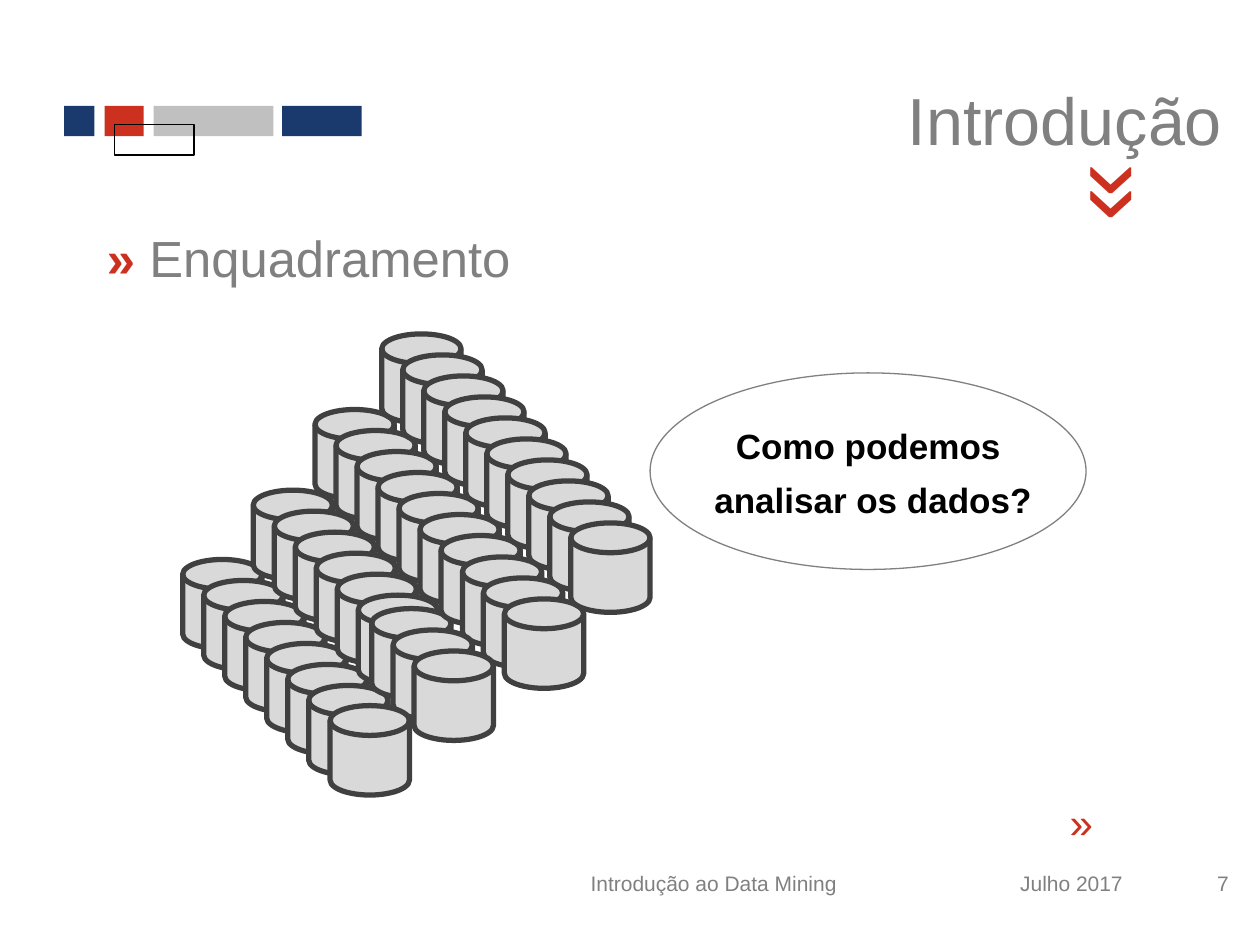
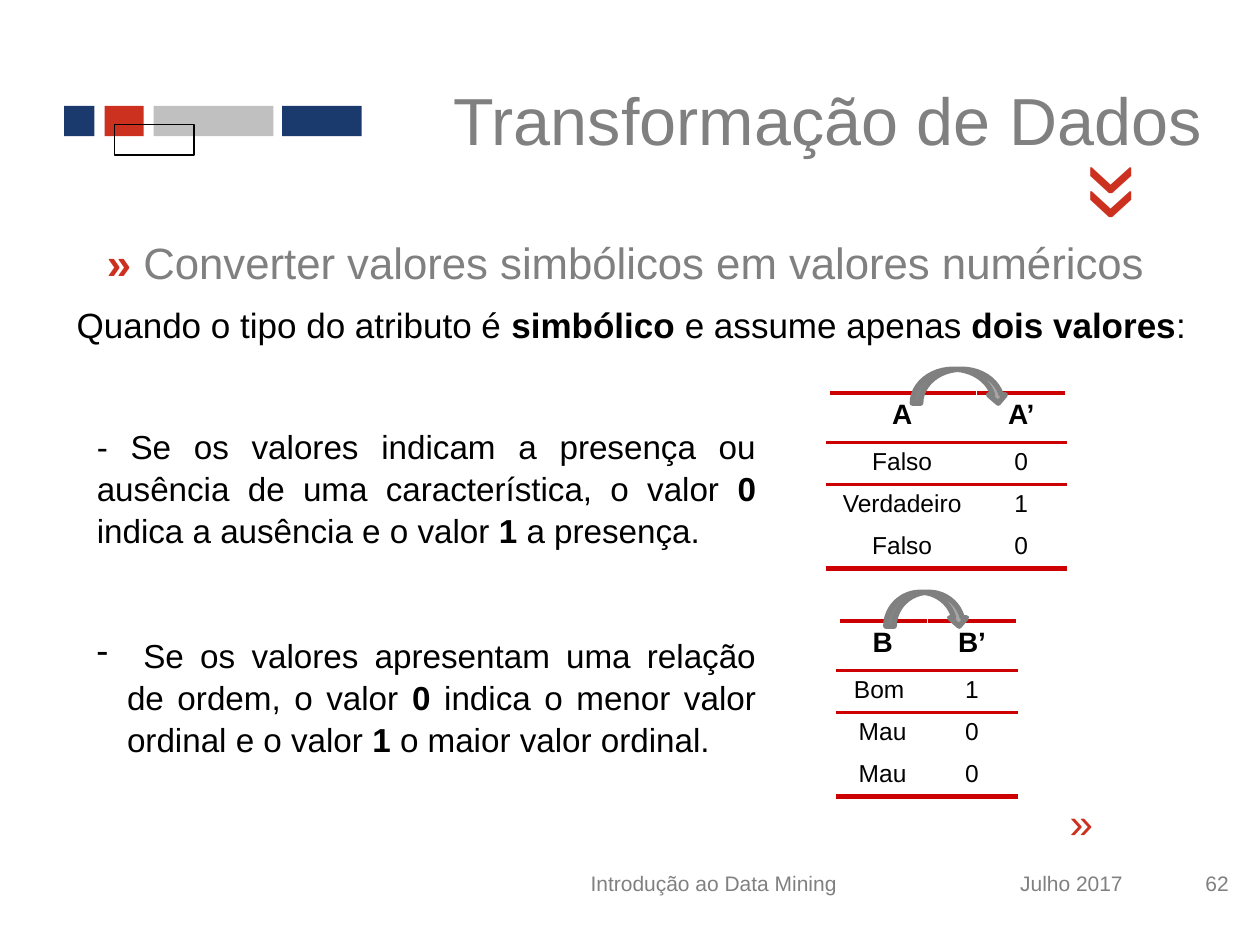
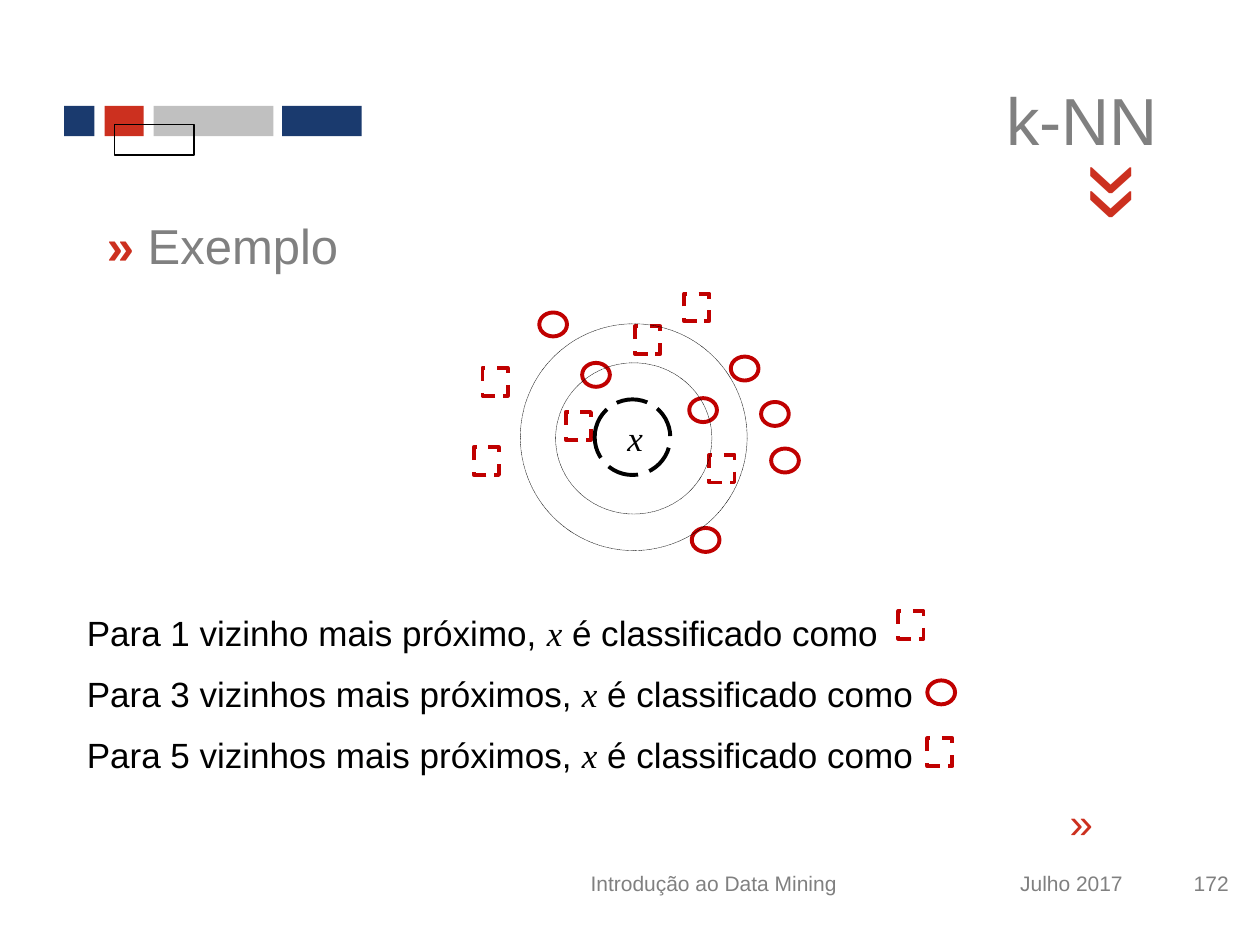
import lxml.etree
import pptx
import pptx.dml.color
import pptx.enum.dml
import pptx.enum.shapes
import pptx.enum.text
import pptx.oxml.ns
import pptx.util

Inches = pptx.util.Inches
Pt = pptx.util.Pt
SHAPE = pptx.enum.shapes.MSO_SHAPE
DASH = pptx.enum.dml.MSO_LINE
ALIGN = pptx.enum.text.PP_ALIGN
ANCHOR = pptx.enum.text.MSO_ANCHOR

COLORS = {
    "navy": "1A3A6E", "red": "CC301F", "silver": "C0C0C0", "gray": "808080",
    "black": "000000", "white": "FFFFFF", "disk": "D9D9D9", "outline": "404040",
    "arrow": "A6A6A6", "rule": "CC0000", "symbol": "C00000",
}
BOLD = {"bold": True}
MATH = {"name": "Times New Roman", "italic": True}
BAND = [(0.51, 0.24, "navy"), (0.83, 0.31, "red"), (1.22, 0.95, "silver"), (2.24, 0.63, "navy")]
DISK_RUNS = [
    (1.45, 4.44, 7), (2.01, 3.89, 6), (2.95, 4.83, 1), (2.5, 3.25, 7), (3.03, 2.65, 9),
    (3.67, 4.42, 3), (3.12, 5, 2), (2.62, 5.6, 1), (4.53, 4.15, 1),
]
DISK_STEP = 1 / 6
SQUARES = [
    (7.13, 4.85), (7.36, 5.86), (3.83, 2.92), (5.04, 2.59), (3.76, 3.55),
    (5.63, 3.61), (4.49, 3.27), (5.43, 2.33),
]
CIRCLES = [
    (7.36, 5.4), (5.47, 3.16), (6.04, 3.19), (4.28, 2.48), (6.12, 3.56),
    (5.8, 2.83), (5.49, 4.19), (4.62, 2.88),
]


def rgb(color):
    """Return the named colour as an RGB value."""
    return pptx.dml.color.RGBColor.from_string(COLORS[color])


def set_values(target, values):
    """Set each attribute named in a dict on the target."""
    for name, value in values.items():
        setattr(target, name, value)


def add_runs(paragraph, runs, size, color):
    """Add (text, format) runs to a paragraph over a base format."""
    for text, values in runs:
        values = {"name": "Arial", "size": Pt(size), "bold": False, "color": color, **values}
        run = paragraph.add_run()
        run.text = text
        run.font.color.rgb = rgb(values.pop("color"))
        set_values(run.font, values)


def add_text(slide, box, paragraphs, size, color="black", align=ALIGN.LEFT,
             anchor=ANCHOR.TOP, gap=0, spacing=1.0):
    """Add a wrapped text box holding paragraphs of runs."""
    shape = slide.shapes.add_textbox(*map(Inches, box))
    frame = shape.text_frame
    set_values(frame, {"word_wrap": True, "vertical_anchor": anchor})
    for index, runs in enumerate(paragraphs):
        paragraph = frame.add_paragraph() if index else frame.paragraphs[0]
        values = {"alignment": align, "line_spacing": spacing}
        if index:
            values["space_before"] = Pt(gap)
        set_values(paragraph, values)
        add_runs(paragraph, runs, size, color)
    return shape


def add_shape(slide, kind, box, fill=None, line=None, width=0.75, dash=None, rotation=0):
    """Add a preset shape with optional fill and outline."""
    shape = slide.shapes.add_shape(kind, *map(Inches, box))
    shape.shadow.inherit = False
    shape.rotation = rotation
    if fill:
        shape.fill.solid()
        shape.fill.fore_color.rgb = rgb(fill)
    else:
        shape.fill.background()
    if line:
        shape.line.color.rgb = rgb(line)
        set_values(shape.line, {"width": Pt(width), "dash_style": dash})
    else:
        shape.line.fill.background()
    return shape


def add_dash_bullet(paragraph, indent):
    """Give a paragraph a hanging dash bullet."""
    properties = paragraph._p.get_or_add_pPr()
    properties.set("marL", str(Inches(indent)))
    properties.set("indent", str(-Inches(indent)))
    bullet = lxml.etree.SubElement(properties, pptx.oxml.ns.qn("a:buChar"))
    bullet.set("char", "-")


def add_border(cell, side, color, width):
    """Draw one border of a table cell."""
    qualified = pptx.oxml.ns.qn
    properties = cell._tc.get_or_add_tcPr()
    line = lxml.etree.SubElement(properties, qualified("a:ln" + side), w=str(Pt(width)))
    fill = lxml.etree.SubElement(line, qualified("a:solidFill"))
    lxml.etree.SubElement(fill, qualified("a:srgbClr"), val=COLORS[color])


def add_value_table(slide, left, top, widths, rows):
    """Add a table with red rules around its heading and at its foot."""
    heights = [0.39] + [0.33] * (len(rows) - 1)
    box = left, top, sum(widths), sum(heights)
    table = slide.shapes.add_table(len(rows), len(widths), *map(Inches, box)).table
    set_values(table, {"first_row": False, "horz_banding": False})
    for column, width in zip(table.columns, widths):
        column.width = Inches(width)
    for row_index, (row, height) in enumerate(zip(rows, heights)):
        table.rows[row_index].height = Inches(height)
        heading, last = row_index == 0, row_index == len(rows) - 1
        for column_index, text in enumerate(row):
            cell = table.cell(row_index, column_index)
            if column_index == 0:
                add_border(cell, "L", "white", 2.25)
            if row_index < 2:
                add_border(cell, "T", "rule", 2.25)
            if heading or last:
                add_border(cell, "B", "rule", 3 if last else 2.25)
            cell.fill.background()
            paragraph = cell.text_frame.paragraphs[0]
            paragraph.alignment = ALIGN.CENTER
            add_runs(paragraph, [(text, {"bold": heading})], 16 if heading else 14, "black")


def add_base_slide(presentation, title, title_right, subtitle, subtitle_top, subtitle_size, number):
    """Add a slide with band, title, subtitle, chevrons and footer."""
    slide = presentation.slides.add_slide(presentation.slide_layouts[6])
    for left, width, color in BAND:
        add_shape(slide, SHAPE.RECTANGLE, (left, 0.84, width, 0.24), color)
    add_shape(slide, SHAPE.RECTANGLE, (0.91, 0.99, 0.63, 0.24), line="black")
    add_text(slide, (8.39, 6.27, 0.51, 0.5), [[("»", {})]], 24, "red")
    chevron = add_text(slide, (8.6, 0.98, 0.66, 1.1), [[("»", {})]], 60, "red")
    chevron.rotation = 90
    add_text(slide, (0.75, subtitle_top, 8.65, 0.57),
             [[("» ", {"color": "red", "bold": True}), (subtitle, {})]], subtitle_size, "gray")
    add_text(slide, (3.03, 0.48, title_right - 3.03, 0.93), [[(title, {})]], 38, "gray",
             ALIGN.RIGHT, ANCHOR.MIDDLE)
    footers = [
        (7.2, 1.81, "Julho 2017", ALIGN.RIGHT),
        (9.06, 0.79, number, ALIGN.RIGHT),
        (4.13, 3.07, "Introdução ao Data Mining", ALIGN.CENTER),
    ]
    for left, width, text, align in footers:
        add_text(slide, (left, 6.73, width, 0.55), [[(text, {})]], 12, "gray", align, ANCHOR.MIDDLE)
    return slide


def build_introduction(presentation):
    """Build the slide with rows of data disks and a question."""
    slide = add_base_slide(presentation, "Introdução", 9.8, "Enquadramento", 1.75, 29, "7")
    for left, top, count in DISK_RUNS:
        for index in range(count):
            offset = index * DISK_STEP
            add_shape(slide, SHAPE.FLOWCHART_MAGNETIC_DISK,
                      (left + offset, top + offset, 0.63, 0.71), "disk", "outline", 3)
    add_shape(slide, SHAPE.OVAL, (5.16, 2.96, 3.46, 1.56), line="gray")
    question = [[("Como podemos ", BOLD)], [("analisar os dados?", BOLD)]]
    add_text(slide, (3.9, 3.32, 6.06, 0.86), question, 20, align=ALIGN.CENTER, gap=7)


def build_transformation(presentation):
    """Build the slide on turning symbolic values into numbers."""
    slide = add_base_slide(presentation, "Transformação de Dados", 9.64,
                           "Converter valores simbólicos em valores numéricos", 1.82, 25, "62")
    add_text(slide, (0.51, 2.36, 9.27, 0.44), [[
        ("Quando o tipo do atributo é ", {}), ("simbólico ", BOLD), ("e assume apenas ", {}),
        ("dois valores", BOLD), (":", {})]], 20, align=ALIGN.JUSTIFY)
    presence = [
        ("- Se os valores indicam a presença ou ausência de uma característica, o valor ", {}),
        ("0", BOLD), (" indica a ausência e o valor ", {}), ("1", BOLD), (" a presença.", {})]
    order = [
        (" Se os valores apresentam uma relação de ordem, o valor ", {}), ("0", BOLD),
        (" indica o menor valor ordinal e o valor ", {}), ("1 ", BOLD),
        ("o maior valor ordinal.", {})]
    for top, runs, bulleted in [(3.32, presence, False), (4.98, order, True)]:
        shape = add_text(slide, (0.67, top, 5.43, 1.06), [runs], 19,
                         align=ALIGN.JUSTIFY, spacing=1.05)
        if bulleted:
            add_dash_bullet(shape.text_frame.paragraphs[0], 0.24)
    add_value_table(slide, 6.57, 3.12, [1.18, 0.71],
                    [("A", "A’"), ("Falso", "0"), ("Verdadeiro", "1"), ("Falso", "0")])
    add_value_table(slide, 6.65, 4.93, [0.71, 0.71],
                    [("B", "B’"), ("Bom ", "1"), ("Mau", "0"), ("Mau", "0")])
    for box in [(7.48, 2.69, 0.27, 0.75), (7.22, 4.51, 0.27, 0.65)]:
        add_shape(slide, SHAPE.CURVED_LEFT_ARROW, box, "arrow", "gray", 3, rotation=270)


def build_neighbours(presentation):
    """Build the slide with the nearest neighbour example."""
    slide = add_base_slide(presentation, "k-NN", 9.29, "Exemplo", 1.66, 28, "172")
    conclusions = [
        [(f"Para {neighbours} mais {near}, ", {}), ("x", MATH), (" é classificado como", {})]
        for neighbours, near in [("1 vizinho", "próximo"), ("3 vizinhos", "próximos"),
                                 ("5 vizinhos", "próximos")]]
    add_text(slide, (0.59, 4.8, 8.82, 1.45), conclusions, 20, gap=11)
    for left, top in SQUARES:
        add_shape(slide, SHAPE.RECTANGLE, (left, top, 0.2, 0.22), None, "symbol", 2.25, DASH.DASH)
    for left, top in CIRCLES:
        add_shape(slide, SHAPE.OVAL, (left, top, 0.22, 0.19), None, "symbol", 2.25)
    add_shape(slide, SHAPE.OVAL, (4.72, 3.17, 0.6, 0.6), None, "black", 2.25, DASH.LONG_DASH)
    add_text(slide, (4.88, 3.26, 0.51, 0.44), [[("x", MATH)]], 20)
    for box in [(4.41, 2.88, 1.24, 1.2), (4.13, 2.57, 1.8, 1.8)]:
        add_shape(slide, SHAPE.OVAL, box, None, "black", 0.25, DASH.ROUND_DOT)


def main():
    """Build the three slides and save them."""
    presentation = pptx.Presentation()
    set_values(presentation, {"slide_width": Inches(10), "slide_height": Inches(7.5)})
    build_introduction(presentation)
    build_transformation(presentation)
    build_neighbours(presentation)
    presentation.save("out.pptx")


if __name__ == "__main__":
    main()
